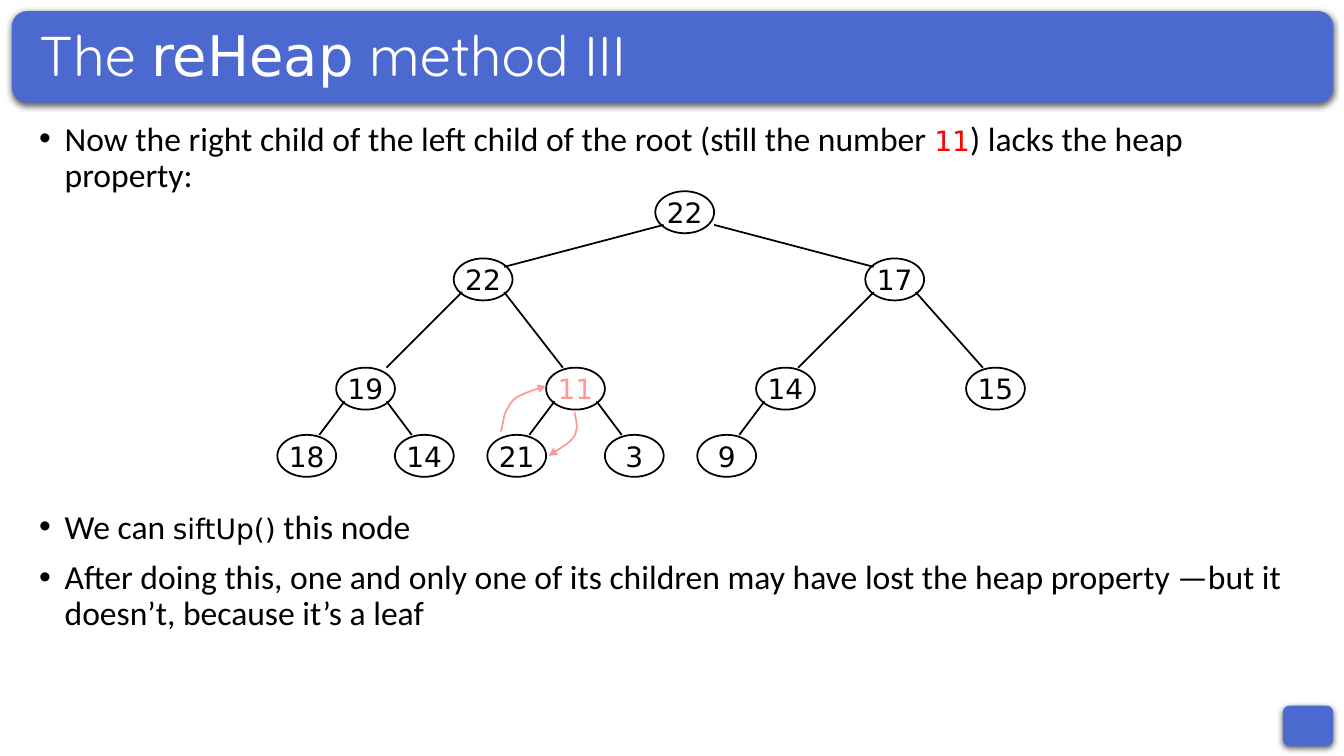
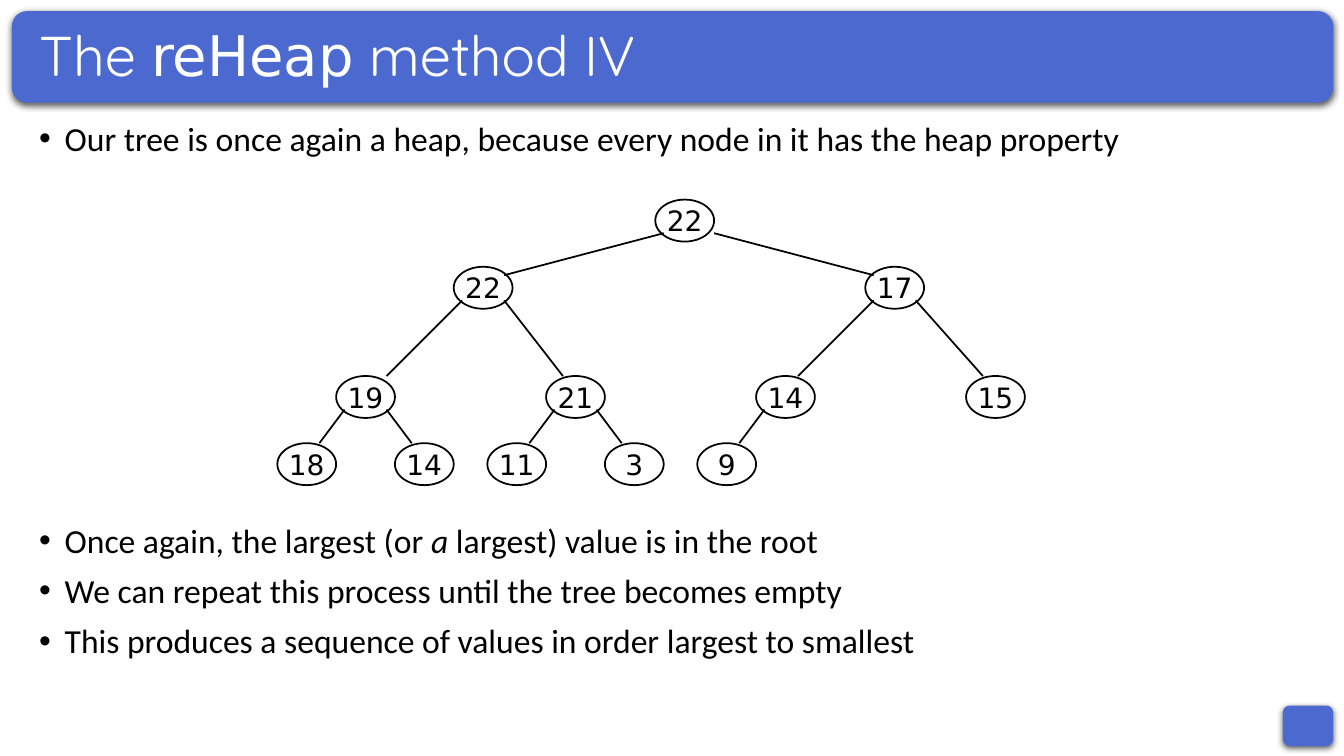
from lxml import etree
from pptx import Presentation
from pptx import util as u
from pptx.dml import color
from pptx.enum import shapes, text
from pptx.oxml import ns

HUES = {"band": "4C69D0", "ink": "000000", "paper": "FFFFFF",
        "red": "FF0000", "rose": "FF9999"}
CODE, BODY, HEAD = "DejaVu Sans", "Calibri", "Quicksand"
UNIT = 2.54 / 12
NODE = (7, 5)
LEFT, WIDE = 0.74, 32.41

SPOTS = [(45, 0), (21, 8), (70, 8), (7, 21), (32, 21), (57, 21), (82, 21),
         (0, 29), (14, 29), (25, 29), (39, 29), (50, 29)]
JOINS = [None, (6, 1), (1, 1), (6, 0), (2, 0), (5, 0), (2, 0),
         (5, 0), (2, 0), (5, 0), (2, 0), (5, 0)]
RISE = [(26.6, 28.6), (26.8, 28.2), (26.9, 26.9), (27.2, 26.2), (27.6, 25.6),
        (27.7, 25.1), (28.4, 24.6), (29.3, 24), (31.3, 23.4), (32, 23.2)]
FALL = [(35.4, 26.3), (35.4, 26.7), (35.8, 27.8), (35.6, 28.4), (35.5, 29),
        (35.4, 29.2), (34.9, 29.7), (34.3, 30.3), (32.8, 31.1), (32.3, 31.5)]


def hue(name):
    return color.RGBColor.from_string(HUES[name])


def add_tag(parent, tag, **attrs):
    return etree.SubElement(parent, ns.qn(tag), attrs)


def stroke(shape, name="ink"):
    shape.line.color.rgb = hue(name)
    shape.line.width = u.Pt(1.25)


def write(frame, paras, font=BODY, size=24, ink="ink", align=None,
          anchor="TOP", wrap=True, lead=None, gap=None, bullet=False):
    frame.word_wrap = wrap
    frame.vertical_anchor = text.MSO_ANCHOR[anchor]
    for i, runs in enumerate(paras):
        para = frame.add_paragraph() if i else frame.paragraphs[0]
        para.alignment = align
        para.line_spacing = lead
        if gap is not None:
            para.space_before = u.Pt(gap)
        if bullet:
            props = para._p.get_or_add_pPr()
            props.set("marL", str(u.Cm(0.64)))
            props.set("indent", str(u.Cm(-0.64)))
            add_tag(props, "a:buFont", typeface="Arial")
            add_tag(props, "a:buChar", char="•")
        for part in runs:
            words, form = part if isinstance(part, tuple) else (part, {})
            run = para.add_run()
            run.text = words
            run.font.name = form.get("font", font)
            run.font.size = u.Pt(form.get("size", size))
            run.font.color.rgb = hue(form.get("ink", ink))
            run.font.italic = form.get("slant")


def add_band(slide, *box):
    band = slide.shapes.add_shape(shapes.MSO_SHAPE.ROUNDED_RECTANGLE, *map(u.Cm, box))
    band.fill.solid()
    band.fill.fore_color.rgb = hue("band")
    band.line.fill.background()
    fx = add_tag(band._element.spPr, "a:effectLst")
    shade = add_tag(fx, "a:outerShdw", blurRad=str(u.Pt(4.5)), dist=str(u.Pt(1.5)),
                    dir="5400000", algn="t", rotWithShape="0")
    tint = add_tag(shade, "a:srgbClr", val=HUES["ink"])
    add_tag(tint, "a:alpha", val="63000")


def add_text(slide, box, paras, **form):
    area = slide.shapes.add_textbox(*map(u.Cm, box))
    write(area.text_frame, paras, **form)


def add_list(slide, top, high, items):
    add_text(slide, (LEFT, top, WIDE, high), items, lead=0.9, gap=10, bullet=True)


def add_frame(deck, part):
    slide = deck.slides.add_slide(deck.slide_layouts[6])
    add_band(slide, 32.33, 17.78, 1.27, 1.02)
    add_band(slide, 0.3, 0.28, 33.3, 2.31)
    title = ["The ", ("reHeap", {"font": CODE}), f" method {part}"]
    add_text(slide, (LEFT, 0.64, WIDE, 1.65), [title], font=HEAD, size=40,
             ink="paper", anchor="MIDDLE", lead=0.9)
    return slide


def add_tree(slide, left, top, keys, marked=None):
    def place(x, y):
        return u.Cm(left + x * UNIT), u.Cm(top + y * UNIT)

    for i, (key, (x, y)) in enumerate(zip(keys, SPOTS)):
        node = slide.shapes.add_shape(shapes.MSO_SHAPE.OVAL, *place(x, y),
                                      *(u.Cm(n * UNIT) for n in NODE))
        node.shadow.inherit = False
        node.fill.background()
        stroke(node)
        write(node.text_frame, [[str(key)]], font=CODE, size=20,
              ink="rose" if i == marked else "ink", wrap=False,
              align=text.PP_ALIGN.CENTER, anchor="MIDDLE")
        if i:
            root = (i - 1) // 2
            px, py = SPOTS[root]
            dx, dy = JOINS[i]
            out = 1 if i % 2 else 6 if root else 7
            edge = slide.shapes.add_connector(
                shapes.MSO_CONNECTOR.STRAIGHT,
                *place(px + out, py + 4), *place(x + dx, y + dy))
            stroke(edge)
            add_tag(edge._element.spPr, "a:effectLst")
    return place


def bend(knots, steps=8):
    for k in range(0, len(knots) - 1, 3):
        a, b, c, d = knots[k:k + 4]
        for n in range(1, steps + 1):
            t = n / steps
            s = 1 - t
            yield tuple(s**3 * p + 3 * s * s * t * q + 3 * s * t * t * r + t**3 * e
                        for p, q, r, e in zip(a, b, c, d))


def add_arc(slide, place, knots):
    pen = slide.shapes.build_freeform(*place(*knots[0]))
    pen.add_line_segments([place(*dot) for dot in bend(knots)], close=False)
    arc = pen.convert_to_shape()
    arc.shadow.inherit = False
    arc.fill.background()
    stroke(arc, "rose")
    add_tag(arc.line._get_or_add_ln(), "a:tailEnd", type="triangle")


def add_swap(deck):
    slide = add_frame(deck, "III")
    add_list(slide, 2.95, 2, [[
        "Now the right child of the left child of the root (still the number ",
        ("11", {"font": CODE, "size": 20, "ink": "red"}),
        ") lacks the heap property:"]])
    add_list(slide, 12.73, 3.6, [
        ["We can ", ("siftUp()", {"font": CODE, "size": 20}), " this node"],
        ["After doing this, one and only one of its children may have lost "
         "the heap property —but it doesn’t, because it’s a leaf"]])
    keys = [22, 22, 17, 19, 11, 14, 15, 18, 14, 21, 3, 9]
    place = add_tree(slide, 6.99, 4.82, keys, marked=4)
    for knots in (RISE, FALL):
        add_arc(slide, place, knots)


def add_done(deck):
    slide = add_frame(deck, "IV")
    add_list(slide, 2.95, 1.2, [[
        "Our tree is once again a heap, because every node in it has the heap property"]])
    add_list(slide, 13.08, 4, [
        ["Once again, the largest (or", (" a", {"slant": True}),
         " largest) value is in the root"],
        ["We can repeat this process until the tree becomes empty"],
        ["This produces a sequence of values in order largest to smallest"]])
    add_tree(slide, 6.99, 5.03, [22, 22, 17, 19, 21, 14, 15, 18, 14, 11, 3, 9])


def main():
    deck = Presentation()
    deck.slide_width, deck.slide_height = u.Cm(33.87), u.Cm(19.05)
    add_swap(deck)
    add_done(deck)
    deck.save("out.pptx")


if __name__ == "__main__":
    main()
